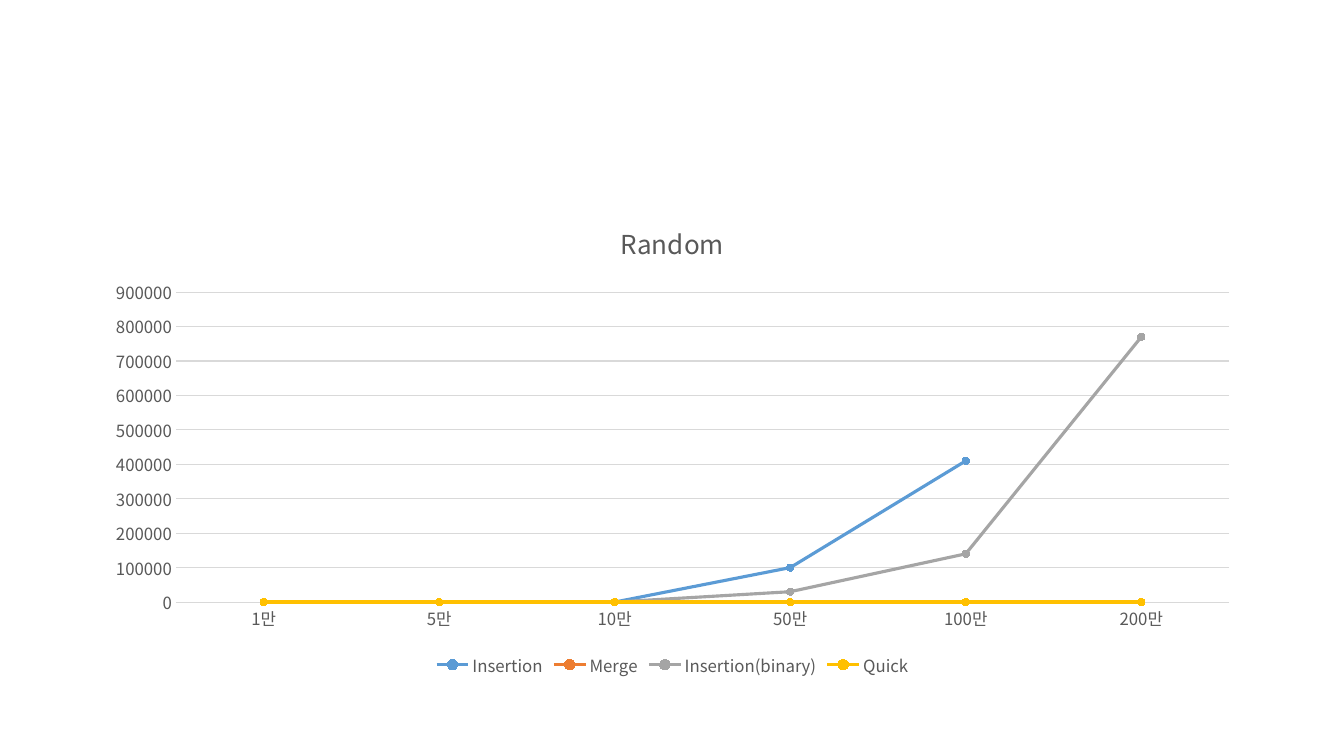
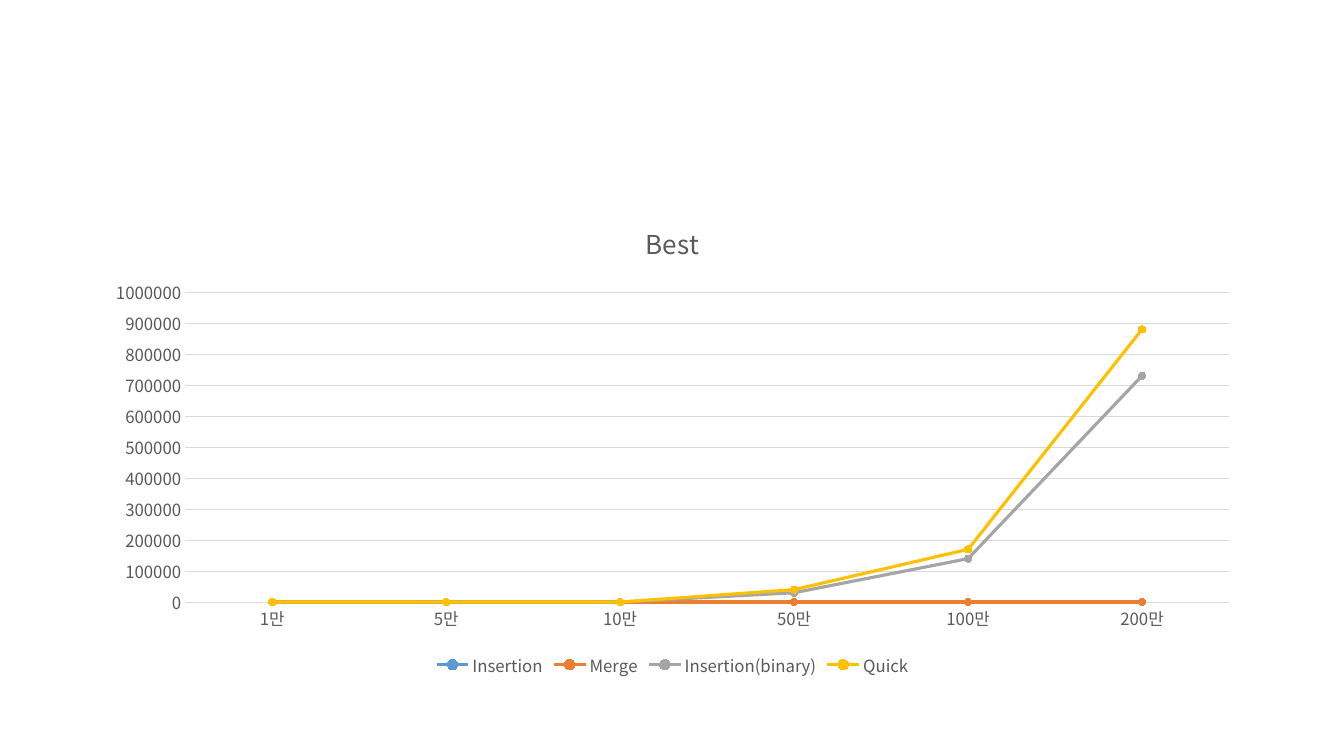
from dataclasses import dataclass

from pptx import Presentation
from pptx.chart.axis import CategoryAxis, ValueAxis
from pptx.chart.chart import Chart
from pptx.chart.data import CategoryChartData
from pptx.chart.series import LineSeries
from pptx.dml.color import RGBColor
from pptx.dml.line import LineFormat
from pptx.enum.chart import (
    XL_CHART_TYPE, XL_LEGEND_POSITION, XL_MARKER_STYLE, XL_TICK_MARK)
from pptx.presentation import Presentation as Deck
from pptx.text.text import Font
from pptx.util import Inches, Pt

LINE_MARKERS = XL_CHART_TYPE.LINE_MARKERS
BOTTOM = XL_LEGEND_POSITION.BOTTOM
CIRCLE = XL_MARKER_STYLE.CIRCLE
NO_TICK = XL_TICK_MARK.NONE

# Shared style
FONT = "Noto Sans CJK KR"
TEXT, GRID = "595959", "D9D9D9"
LABEL_FORMAT = {"name": FONT, "size": Pt(12), "bold": False}
TITLE_FORMAT = {**LABEL_FORMAT, "size": Pt(18.6)}
AXIS_FORMAT = {"major_tick_mark": NO_TICK, "minor_tick_mark": NO_TICK}
CHART_BOX = (Inches(0.92), Inches(2), Inches(11.5), Inches(4.76))

# Input sizes and the colour of each sorting algorithm
SIZES = ("1만", "5만", "10만", "50만", "100만", "200만")
ALGORITHMS = {
    "Insertion": "5B9BD5",
    "Merge": "ED7D31",
    "Insertion(binary)": "A5A5A5",
    "Quick": "FFC000",
}
FLAT = (0,) * len(SIZES)


@dataclass(frozen=True)
class Benchmark:
    title: str
    axis_max: int
    timings: dict[str, tuple[int | None, ...]]


BENCHMARKS = (
    Benchmark("Random", 900000, {
        "Insertion": (0, 0, 0, 100000, 410000, None),
        "Insertion(binary)": (0, 0, 0, 30000, 140000, 770000),
    }),
    Benchmark("Best", 1000000, {
        "Insertion(binary)": (0, 0, 0, 30000, 140000, 730000),
        "Quick": (0, 0, 0, 40000, 170000, 880000),
    }),
)


def rgb(color: str) -> RGBColor:
    return RGBColor.from_string(color)


def set_font(font: Font, formats: dict) -> None:
    for name, value in formats.items():
        setattr(font, name, value)
    font.color.rgb = rgb(TEXT)


def set_line(line: LineFormat, color: str, width: float) -> None:
    line.color.rgb = rgb(color)
    line.width = Pt(width)


def style_axis(axis: CategoryAxis | ValueAxis) -> None:
    for name, value in AXIS_FORMAT.items():
        setattr(axis, name, value)
    set_font(axis.tick_labels.font, LABEL_FORMAT)


def style_series(series: LineSeries, color: str) -> None:
    series.smooth = False
    set_line(series.format.line, color, 2.25)
    marker = series.marker
    marker.style, marker.size = CIRCLE, 5
    marker.format.fill.solid()
    marker.format.fill.fore_color.rgb = rgb(color)
    set_line(marker.format.line, color, 0.75)


def style_chart(chart: Chart, benchmark: Benchmark) -> None:
    chart.font.name, chart.font.size = FONT, Pt(10)
    chart.plots[0].vary_by_categories = False

    # Title
    chart.has_title = True
    p = chart.chart_title.text_frame.paragraphs[0]
    r = p.add_run()
    r.text = benchmark.title
    set_font(r.font, TITLE_FORMAT)
    chart.chart_title.include_in_layout = False

    # Legend
    chart.has_legend = True
    chart.legend.position = BOTTOM
    chart.legend.include_in_layout = False
    set_font(chart.legend.font, LABEL_FORMAT)

    # Axes and gridlines
    sizes, times = chart.category_axis, chart.value_axis
    for axis in (sizes, times):
        style_axis(axis)
    set_line(sizes.format.line, GRID, 0.75)
    times.format.line.fill.background()
    times.minimum_scale, times.maximum_scale = 0, benchmark.axis_max
    times.major_unit = 100000
    times.has_major_gridlines = True
    set_line(times.major_gridlines.format.line, GRID, 0.75)

    # Lines
    for series in chart.plots[0].series:
        style_series(series, ALGORITHMS[series.name])


def add_benchmark(prs: Deck, benchmark: Benchmark) -> None:
    s = prs.slides.add_slide(prs.slide_layouts.get_by_name("Blank"))
    data = CategoryChartData()
    data.categories = SIZES
    for name in ALGORITHMS:
        data.add_series(name, benchmark.timings.get(name, FLAT))
    frame = s.shapes.add_chart(LINE_MARKERS, *CHART_BOX, data)
    style_chart(frame.chart, benchmark)


def main() -> None:
    prs = Presentation()
    prs.slide_width, prs.slide_height = Inches(13.33), Inches(7.5)
    for benchmark in BENCHMARKS:
        add_benchmark(prs, benchmark)
    prs.save("out.pptx")


if __name__ == "__main__":
    main()
